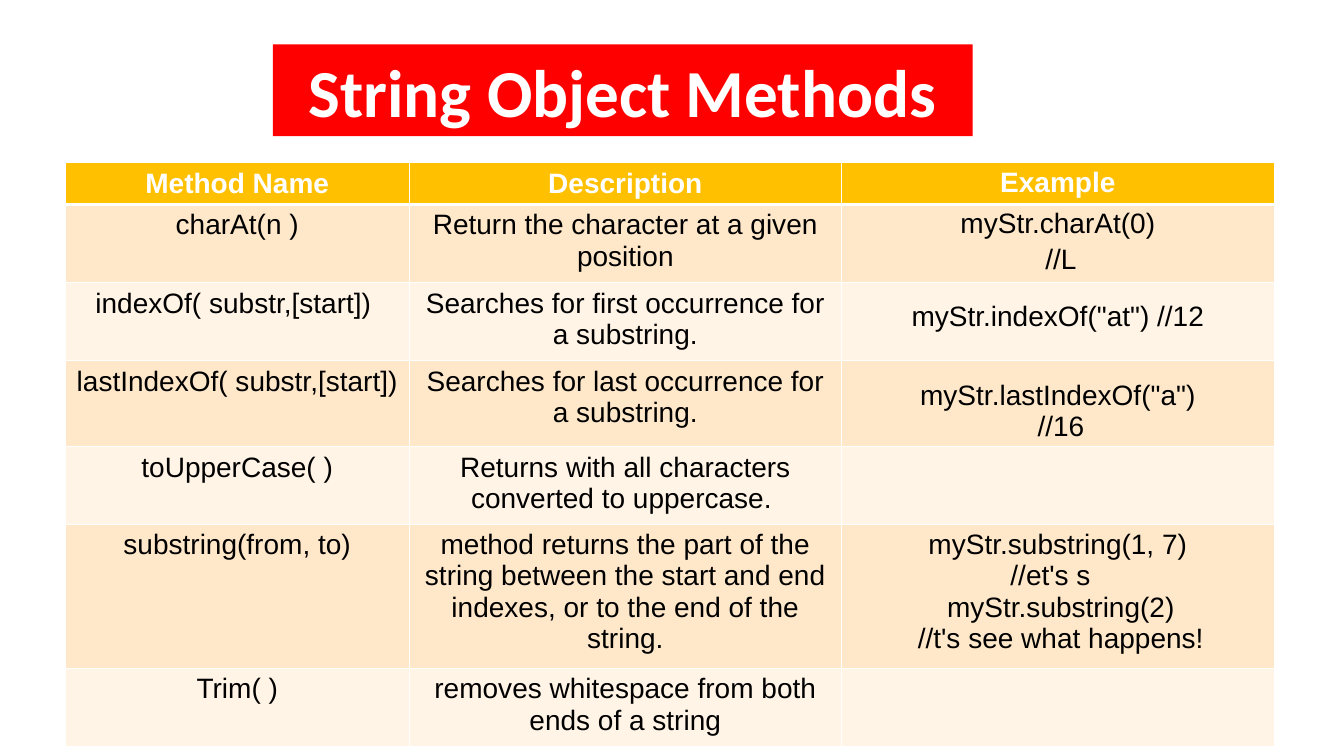
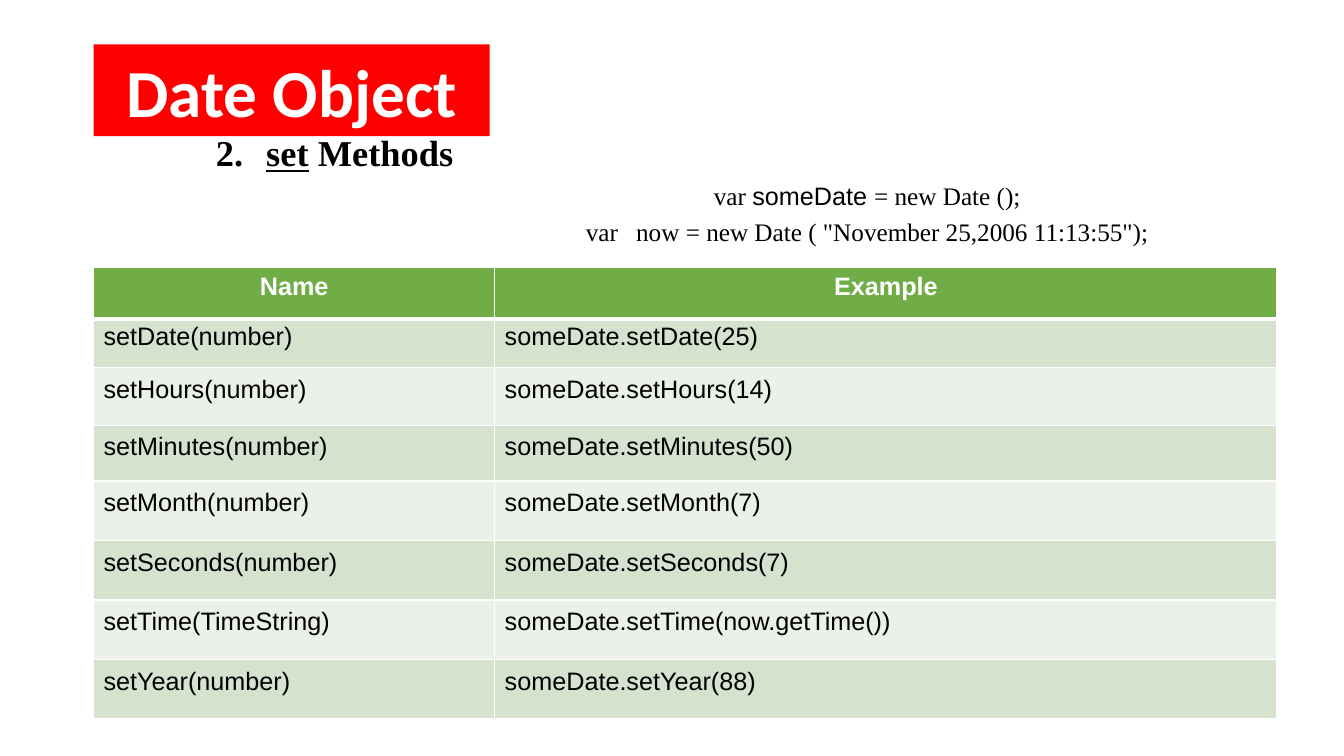
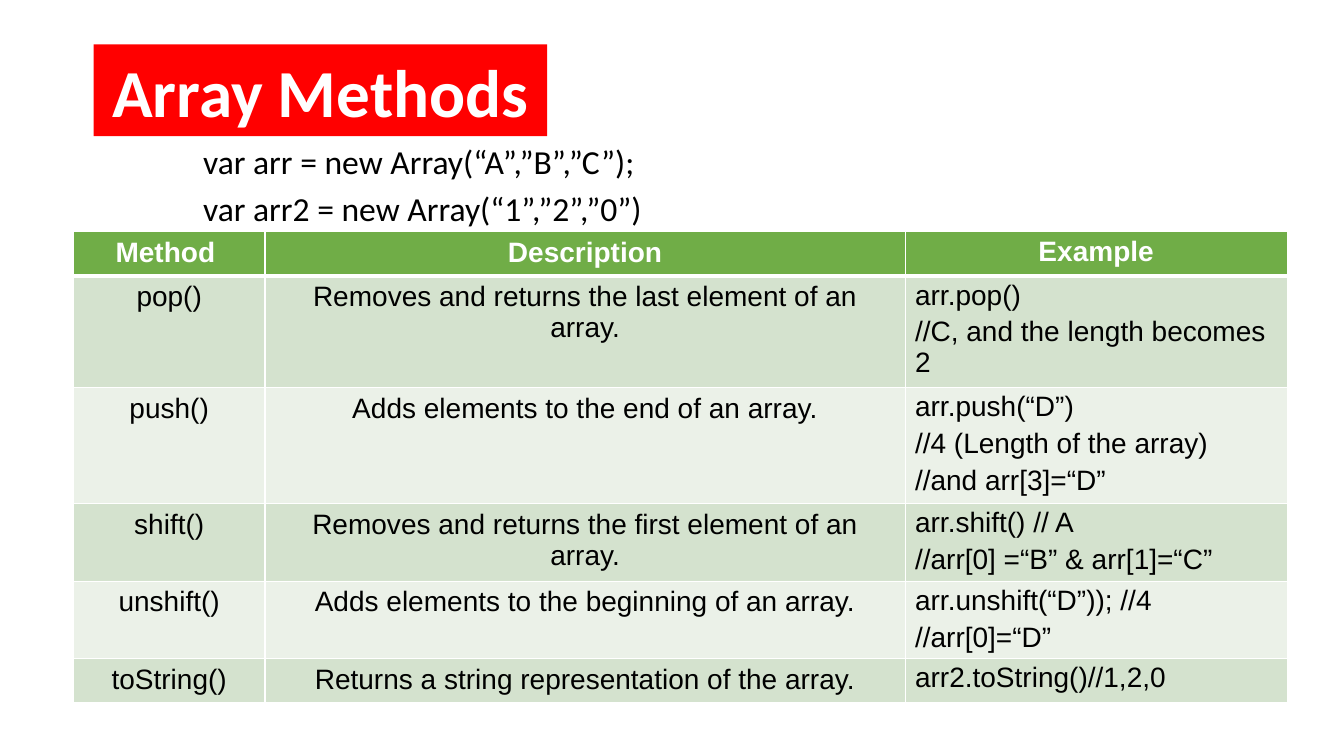
from dataclasses import dataclass, replace

from lxml.etree import SubElement
from pptx import Presentation
from pptx.dml.color import RGBColor
from pptx.enum.shapes import MSO_SHAPE
from pptx.enum.text import PP_ALIGN
from pptx.oxml.ns import qn
from pptx.util import Cm, Pt

COLORS = {
    "white": "FFFFFF", "black": "000000", "red": "FF0000",
    "gold": "FFC000", "gold_dark": "FFE8CA", "gold_light": "FFF4E6",
    "green": "70AD47", "green_dark": "D4E2CE", "green_light": "EBF1E8",
}
PALETTES = {name: (name, f"{name}_dark", f"{name}_light") for name in ("gold", "green")}
TITLE_FORMAT = {"name": "Calibri", "size": Pt(48), "bold": True}
CODE_FORMAT = {"name": "Calibri", "size": Pt(24), "bold": False}
HEADING_FORMAT = {"name": "Times New Roman", "size": Pt(26), "bold": True}
SERIF_FORMAT = {"name": "Times New Roman", "size": Pt(18), "bold": False}
SIDES = ("left", "top", "right", "bottom")
PADDED = (0.25, 0.13, 0.25, 0.13)
CENTER, LEFT = PP_ALIGN.CENTER, PP_ALIGN.LEFT


@dataclass
class Line:
    """A paragraph: runs of text and format, with its layout."""
    runs: list
    align: PP_ALIGN = LEFT
    indent: float = 0
    before: float = 0
    tab: float = 0


@dataclass
class Column:
    """The layout of the body cells in a table column."""
    width: float
    margins: tuple = PADDED
    align: PP_ALIGN = CENTER
    indent: float = 0
    later_indent: float = 0
    gap: float = 0
    tab: float = 0


def color(name):
    """Return a named colour."""
    return RGBColor.from_string(COLORS[name])


def set_margins(target, margins):
    """Set the four inner margins of a cell or text frame."""
    for side, margin in zip(SIDES, margins):
        setattr(target, f"margin_{side}", Cm(margin))


def write_lines(text_frame, lines, color_name="black"):
    """Fill a text frame with paragraphs."""
    for index, line in enumerate(lines):
        paragraph = text_frame.add_paragraph() if index else text_frame.paragraphs[0]
        paragraph.alignment = line.align
        paragraph.space_before = Pt(line.before)
        properties = paragraph._p.get_or_add_pPr()
        properties.set("marL", str(Cm(line.indent)))
        properties.set("indent", "0")
        if line.tab:
            tabs = SubElement(properties, qn("a:tabLst"))
            SubElement(tabs, qn("a:tab"), pos=str(Cm(line.tab)), algn="l")
        for text, text_format in line.runs:
            run = paragraph.add_run()
            run.text = text
            run.font.color.rgb = color(color_name)
            for attribute, value in text_format.items():
                setattr(run.font, attribute, value)


def add_title(slide, text, left, width):
    """Add the red title band."""
    shape = slide.shapes.add_shape(
        MSO_SHAPE.RECTANGLE, Cm(left), Cm(1.12), Cm(width), Cm(2.31))
    shape.shadow.inherit = False
    shape.fill.solid()
    shape.fill.fore_color.rgb = color("red")
    shape.line.fill.background()
    shape.text_frame.word_wrap = True
    set_margins(shape.text_frame, PADDED)
    write_lines(shape.text_frame, [Line([(text, TITLE_FORMAT)], CENTER)], "white")


def add_text(slide, box, margins, lines):
    """Add a wrapped text box."""
    text_frame = slide.shapes.add_textbox(*map(Cm, box)).text_frame
    text_frame.word_wrap = True
    set_margins(text_frame, margins)
    write_lines(text_frame, lines)


def set_borders(cell, bottom):
    """Draw white cell borders with the given bottom width."""
    properties = cell._tc.get_or_add_tcPr()
    for side, width in (("L", 1), ("R", 1), ("T", 1), ("B", bottom)):
        border = SubElement(properties, qn(f"a:ln{side}"), w=str(Pt(width)))
        fill = SubElement(border, qn("a:solidFill"))
        SubElement(fill, qn("a:srgbClr"), val=COLORS["white"])


def fill_cell(cell, text, column, size, fill, is_header):
    """Format a cell and write its lines."""
    set_borders(cell, 3 if is_header else 1)
    cell.fill.solid()
    cell.fill.fore_color.rgb = color(fill)
    set_margins(cell, column.margins)
    text_format = {"name": "Arial", "size": Pt(size), "bold": is_header}
    lines = []
    for index, part in enumerate(text.split("\n") if text else []):
        indent = column.later_indent if index else column.indent
        before = column.gap if index else 0
        tab = column.tab if "\t" in part else 0
        lines.append(Line([(part, text_format)], column.align, indent, before, tab))
    write_lines(cell.text_frame, lines, "white" if is_header else "black")


def add_table(slide, position, columns, heights, rows, size, palette, changes=None):
    """Add a banded table; changes maps (row, column) to layout exceptions."""
    width = sum(column.width for column in columns)
    table = slide.shapes.add_table(
        len(rows), len(columns), *map(Cm, (*position, width, sum(heights)))).table
    for table_column, column in zip(table.columns, columns):
        table_column.width = Cm(column.width)
    header, *bands = PALETTES[palette]
    for row_index, (height, texts) in enumerate(zip(heights, rows)):
        table.rows[row_index].height = Cm(height)
        is_header = row_index == 0
        fill = header if is_header else bands[(row_index - 1) % 2]
        for column_index, (text, column) in enumerate(zip(texts, columns)):
            layout = replace(column, **(changes or {}).get((row_index, column_index), {}))
            if is_header:
                layout = replace(layout, align=CENTER, indent=0)
            fill_cell(table.cell(row_index, column_index), text, layout, size, fill, is_header)


def add_string_slide(slide):
    """Build the slide on string methods."""
    add_title(slide, "String Object Methods", 6.88, 17.63)
    columns = [
        Column(8.66), Column(10.9),
        Column(10.9, (0.03, 0.1, 0.03, 0), later_indent=0.15, gap=3),
    ]
    rows = [
        ("Method Name", "Description", "Example"),
        ("charAt(n )", "Return the character at a given position", "myStr.charAt(0)\n//L"),
        ("indexOf( substr,[start]) ", "Searches for first occurrence for a substring.",
         'myStr.indexOf("at") //12'),
        ("lastIndexOf( substr,[start])", "Searches for last occurrence for a substring.",
         'myStr.lastIndexOf("a")\n//16'),
        ("toUpperCase( )", "Returns with all characters converted to uppercase. ", ""),
        ("substring(from, to)",
         "method returns the part of the string between the start and end indexes, "
         "or to the end of the string.",
         "myStr.substring(1, 7)\n//et's s\t\nmyStr.substring(2)\n//t's see what happens!"),
        ("Trim( )", "removes whitespace from both ends of a string", ""),
    ]
    lowered = {"margins": (0.03, 0.48, 0.03, 0), "gap": 0}
    changes = {
        (2, 2): lowered, (3, 2): lowered,
        (5, 2): {"margins": PADDED, "gap": 0, "tab": 3.8},
    }
    add_table(slide, (1.65, 4.1), columns, [1.05, 1.97, 1.97, 2.17, 1.95, 3.63, 1.98],
              rows, 20, "gold", changes)


def add_date_slide(slide):
    """Build the slide on date set methods."""
    heading = [("2.\t", HEADING_FORMAT), ("set", {**HEADING_FORMAT, "underline": True}),
               (" Methods", HEADING_FORMAT)]
    some_date = [("var ", SERIF_FORMAT), ("someDate ", {**SERIF_FORMAT, "name": "Arial"}),
                 ("= new Date ();", SERIF_FORMAT)]
    now = [('var\tnow = new Date ( "November 25,2006 11:13:55");', SERIF_FORMAT)]
    add_text(slide, (5.41, 3, 27.91, 3.25), (0, 0.28, 0, 0), [
        Line(heading, indent=0.03),
        Line(some_date, CENTER, 4.98, 4.6),
        Line(now, CENTER, 4.98, 4.3),
    ])
    columns = [Column(width, (0, 0.2, 0, 0), LEFT, 0.25) for width in (10.11, 19.71)]
    calls = [
        ("Date", "number", "25"), ("Hours", "number", "14"), ("Minutes", "number", "50"),
        ("Month", "number", "7"), ("Seconds", "number", "7"),
        ("Time", "TimeString", "now.getTime()"), ("Year", "number", "88"),
    ]
    rows = [("Name", "Example")] + [
        (f"set{part}({argument})", f"someDate.set{part}({value})")
        for part, argument, value in calls]
    changes = {
        (row, column): {"margins": (0, top, 0, 0)}
        for row, top in ((0, 0.13), (1, 0.1), (3, 0.18)) for column in range(2)}
    add_table(slide, (2.36, 6.73), columns, [1.3, 1.24, 1.45, 1.4] + [1.5] * 4,
              rows, 18, "green", changes)
    add_title(slide, "Date Object", 2.36, 9.98)


def add_array_slide(slide):
    """Build the slide on array methods."""
    add_title(slide, "Array Methods", 2.36, 11.43)
    columns = [
        Column(4.83), Column(16.13),
        Column(9.63, (0, 0.1, 0, 0), LEFT, 0.25, 0.25, 3.9),
    ]
    rows = [
        ("Method ", "Description", "Example"),
        ("pop()", "Removes and returns the last element of an array.",
         "arr.pop()\n//C, and the length becomes 2"),
        ("push()", "Adds elements to the end of an array.",
         "arr.push(“D”)\n//4 (Length of the array)\n//and arr[3]=“D”"),
        ("shift()", "Removes and returns the first element of an array.",
         "arr.shift() // A\n//arr[0] =“B” & arr[1]=“C”"),
        ("unshift()", "Adds elements to the beginning of an array.",
         "arr.unshift(“D”)); //4\n//arr[0]=“D”"),
        ("toString()", "Returns a string representation of the array.",
         "arr2.toString()//1,2,0"),
    ]
    add_table(slide, (1.85, 5.84), columns, [1.07, 2.82, 2.92, 1.95, 1.95, 1.07],
              rows, 20, "green")
    add_text(slide, (1.85, 3.43, 27.84, 2.49), PADDED, [
        Line([("var arr = new Array(“A”,”B”,”C”);", CODE_FORMAT)], indent=3.02),
        Line([("var arr2 = new Array(“1”,”2”,”0”)", CODE_FORMAT)], indent=3.02, before=4.7),
    ])


def main():
    """Build and save the presentation."""
    presentation = Presentation()
    presentation.slide_width, presentation.slide_height = Cm(33.87), Cm(19.05)
    for build in (add_string_slide, add_date_slide, add_array_slide):
        build(presentation.slides.add_slide(presentation.slide_layouts[6]))
    presentation.save("out.pptx")


if __name__ == "__main__":
    main()
